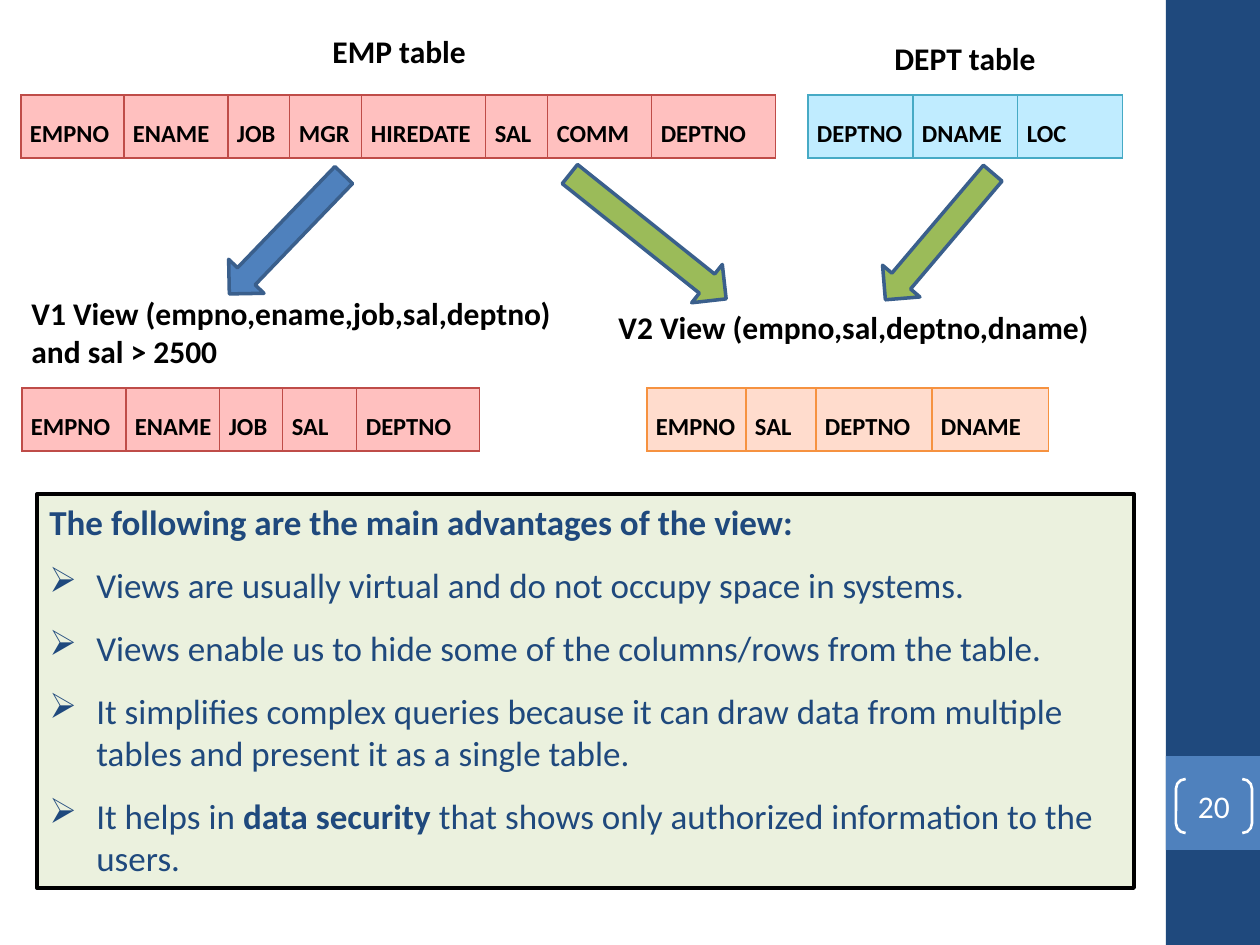
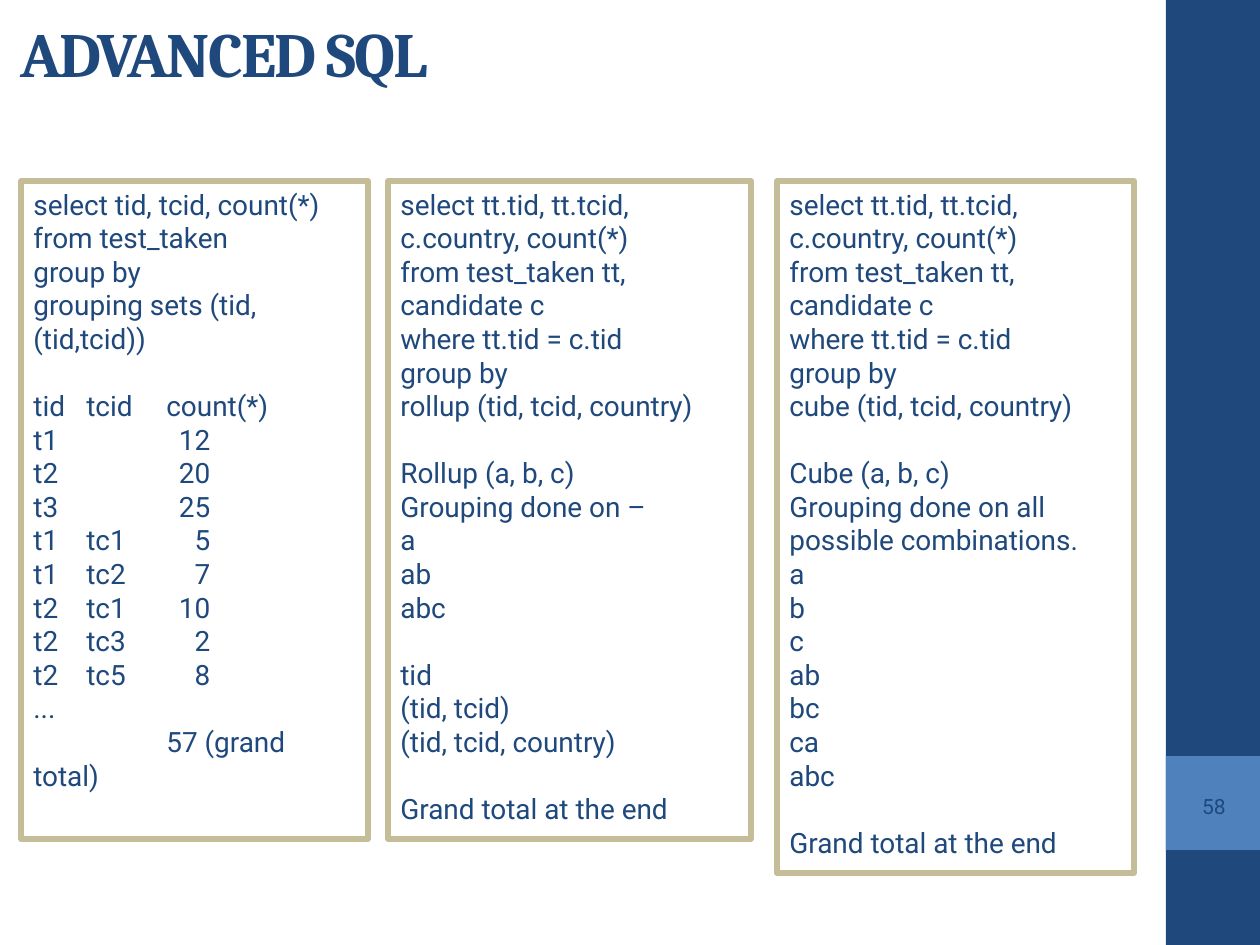
from lxml.etree import SubElement
from pptx import Presentation
from pptx.dml.color import RGBColor
from pptx.enum.shapes import MSO_SHAPE
from pptx.enum.text import MSO_ANCHOR, MSO_AUTO_SIZE, PP_ALIGN
from pptx.oxml.ns import qn
from pptx.util import Emu, Pt

C = {
    "navy": "1F497D", "blue": "4F81BD", "green": "9BBB59", "arrow_edge": "3A5F8C",
    "white": "FFFFFF", "black": "000000", "pale_green": "EBF1DE", "tan": "C4BD97",
    "pink": "FFC0BF", "red": "BF4C48", "sky": "C0ECFF", "teal": "46AAC5",
    "peach": "FFDCCD", "orange": "F69240",
}
TITLE_ONLY, BLANK = 5, 6
CODE_LINE = 19.2


def px(n):
    """Turn px into EMU at 126 px to the inch."""
    return Emu(round(n * 914400 / 126))


def rgb(name):
    """Look up a palette colour."""
    return RGBColor.from_string(C[name])


class Deck:
    """Hold the shared style and the current slide."""

    def __init__(self):
        """Start an empty 10 by 7.5 inch deck."""
        self.prs = Presentation()
        self.prs.slide_width, self.prs.slide_height = px(1260), px(945)
        self.s = None

    def slide(self, layout):
        """Add a slide with its side band."""
        self.s = self.prs.slides.add_slide(self.prs.slide_layouts[layout])
        self.shape(MSO_SHAPE.RECTANGLE, 1166, 0, 94, 945, fill="navy")
        self.shape(MSO_SHAPE.RECTANGLE, 1166, 756, 94, 94, fill="blue")

    def shape(self, kind, x, y, w, h, fill=None, line=None, width=1, rot=0):
        """Add a preset shape."""
        sp = self.s.shapes.add_shape(kind, px(x), px(y), px(w), px(h))
        sp.shadow.inherit = False
        sp.rotation = rot
        for part, color in ((sp.fill, fill), (sp.line.fill, line)):
            if color:
                part.solid()
                part.fore_color.rgb = rgb(color)
            else:
                part.background()
        if line:
            sp.line.width = Pt(width)
        return sp

    def run(self, p, text, size, color, font="Calibri", bold=False):
        """Add one formatted run."""
        r = p.add_run()
        r.text = text
        r.font.size, r.font.name, r.font.bold = Pt(size), font, bold
        r.font.color.rgb = rgb(color)
        return r

    def paragraph(self, tf, first):
        """Return the next left-aligned paragraph of a frame."""
        p = tf.paragraphs[0] if first else tf.add_paragraph()
        p.alignment = PP_ALIGN.LEFT
        return p

    def title(self, text):
        """Fill and place the title placeholder."""
        sp = self.s.shapes.title
        sp.left, sp.top, sp.width, sp.height = px(8), px(10), px(1128), px(84)
        tf = sp.text_frame
        tf.auto_size, tf.vertical_anchor = MSO_AUTO_SIZE.NONE, MSO_ANCHOR.MIDDLE
        r = self.run(self.paragraph(tf, True), text, 36, "navy", "Cambria", True)
        r.font._element.set("spc", "-100")

    def number(self, text, size, color, font, line=None):
        """Add the slide number on the band."""
        sp = self.shape(MSO_SHAPE.DOUBLE_BRACKET, 1176, 779, 76, 54, line=line, width=1.5)
        sp.adjustments[0] = 0.179
        tf = sp.text_frame
        tf.margin_left = tf.margin_right = tf.margin_top = tf.margin_bottom = 0
        tf.vertical_anchor = MSO_ANCHOR.MIDDLE
        p = self.paragraph(tf, True)
        p.alignment = PP_ALIGN.CENTER
        self.run(p, text, size, color, font)

    def label(self, x, y, w, h, *lines):
        """Add a bold caption that does not wrap."""
        tf = self.s.shapes.add_textbox(px(x), px(y), px(w), px(h)).text_frame
        tf.word_wrap = False
        for i, line in enumerate(lines):
            self.run(self.paragraph(tf, i == 0), line, 18, "black", bold=True)

    def columns(self, x, y, fill, border, cols):
        """Add a one-row table of column names."""
        frame = self.s.shapes.add_table(1, len(cols), px(x), px(y),
                                        px(sum(w for _, w in cols)), px(63))
        tbl = frame.table
        tbl.first_row = tbl.horz_banding = False
        tbl.rows[0].height = px(63)
        for i, (name, w) in enumerate(cols):
            tbl.columns[i].width = px(w)
            cell = tbl.cell(0, i)
            cell.margin_left = cell.margin_top = cell.margin_bottom = px(9)
            cell.margin_right = px(4)
            cell.vertical_anchor = MSO_ANCHOR.BOTTOM
            self.run(self.paragraph(cell.text_frame, True), name, 14, "black", bold=True)
            pr = cell._tc.get_or_add_tcPr()
            for side in ("a:lnL", "a:lnR", "a:lnT", "a:lnB"):
                ln = SubElement(pr, qn(side), w=str(Pt(0.75)))
                SubElement(SubElement(ln, qn("a:solidFill")), qn("a:srgbClr"), val=C[border])
            cell.fill.solid()
            cell.fill.fore_color.rgb = rgb(fill)

    def arrow(self, x, y, w, rot, fill):
        """Add a turned block arrow."""
        self.shape(MSO_SHAPE.RIGHT_ARROW, x, y, w, 49, fill, "arrow_edge", 2, rot)

    def panel(self, x, y, w, h, heading, bullets):
        """Add a filled box with a heading and bullets of (text, bold) runs."""
        sp = self.shape(MSO_SHAPE.RECTANGLE, x, y, w, h, "pale_green", "black", 2.25)
        tf = sp.text_frame
        tf.word_wrap, tf.vertical_anchor = True, MSO_ANCHOR.TOP
        for i, runs in enumerate([[(heading, True)], *bullets]):
            p = self.paragraph(tf, i == 0)
            p.space_after = Pt(6)
            if i:
                p.space_before = Pt(6)
                pPr = p._p.get_or_add_pPr()
                pPr.set("marL", str(px(47)))
                pPr.set("indent", str(-px(47)))
                SubElement(pPr, qn("a:buChar"), char="➢")
            for text, bold in runs:
                self.run(p, text, 20, "navy", bold=bold)

    def code_box(self, x, w, h, groups):
        """Add an outlined box of line groups, each line as (text, tab stops)."""
        sp = self.shape(MSO_SHAPE.RECTANGLE, x, 181, w, h, line="tan", width=3)
        tf = sp.text_frame
        tf.word_wrap, tf.vertical_anchor = True, MSO_ANCHOR.TOP
        tf.margin_right = px(20)
        for g, group in enumerate(groups):
            for i, (text, tabs) in enumerate(group):
                p = self.paragraph(tf, g == i == 0)
                if g and i == 0:
                    p.space_before = Pt(CODE_LINE)
                if tabs:
                    tab_list = SubElement(p._p.get_or_add_pPr(), qn("a:tabLst"))
                    for pos, algn in tabs:
                        SubElement(tab_list, qn("a:tab"), pos=str(px(pos)), algn=algn)
                self.run(p, text, 16, "navy", "Roboto")


def plain(*lines):
    """Give lines without tab stops."""
    return [(line, None) for line in lines]


def views_slide(d):
    """Build the slide on tables and their views."""
    d.slide(BLANK)
    d.number("20", 18, "white", "Calibri", line="white")
    d.columns(21, 95, "pink", "red", [
        ("EMPNO", 103), ("ENAME", 104), ("JOB", 62), ("MGR", 72),
        ("HIREDATE", 124), ("SAL", 62), ("COMM", 104), ("DEPTNO", 124)])
    d.columns(808, 95, "sky", "teal", [("DEPTNO", 105), ("DNAME", 105), ("LOC", 105)])
    d.columns(22, 388, "pink", "red", [
        ("EMPNO", 104), ("ENAME", 94), ("JOB", 63), ("SAL", 74), ("DEPTNO", 123)])
    d.columns(647, 388, "peach", "orange", [
        ("EMPNO", 99), ("SAL", 70), ("DEPTNO", 116), ("DNAME", 117)])
    d.label(320, 26, 160, 50, "EMP table")
    d.label(882, 33, 168, 50, "DEPT table")
    d.label(19, 288, 549, 89, "V1 View (empno,ename,job,sal,deptno)", "and sal > 2500")
    d.label(606, 302, 499, 50, "V2 View (empno,sal,deptno,dname)")
    d.arrow(204, 210, 165, 133.9, "blue")
    d.arrow(548, 212, 200, 38.6, "green")
    d.arrow(856, 212, 166, 130.3, "green")
    d.panel(37, 494, 1097, 394, "The following are the main advantages of the view:", [
        [("Views are usually virtual and do not occupy space in systems.", False)],
        [("Views enable us to hide some of the columns/rows from the table.", False)],
        [("It simplifies complex queries because it can draw data from multiple "
          "tables and present it as a single table.", False)],
        [("It helps in ", False), ("data security", True),
         (" that shows only authorized information to the users.", False)],
    ])


def sql_slide(d):
    """Build the slide on grouping sets, rollup and cube."""
    d.slide(TITLE_ONLY)
    d.number("58", 12, "navy", "Roboto")
    d.title("ADVANCED SQL")
    header = [(53, "l"), (133, "l")]
    figures = [(53, "l"), (177, "r")]
    counts = [("t1", "", 12), ("t2", "", 20), ("t3", "", 25), ("t1", "tc1", 5),
              ("t1", "tc2", 7), ("t2", "tc1", 10), ("t2", "tc3", 2), ("t2", "tc5", 8)]
    result = [("tid\ttcid\tcount(*)", header)]
    result += [(f"{tid}\t{tcid}\t{n}", figures) for tid, tcid, n in counts]
    result += [("...", None), ("\t\t57 (grand total)", header)]
    d.code_box(21, 347, 658, [
        plain("select tid, tcid, count(*)", "from test_taken", "group by",
              "grouping sets (tid, (tid,tcid))"),
        result])

    query = ("select tt.tid, tt.tcid, c.country, count(*)",
             "from test_taken tt, candidate c", "where tt.tid = c.tid", "group by")
    end = plain("Grand total at the end")
    d.code_box(388, 363, 658, [
        plain(*query, "rollup (tid, tcid, country)"),
        plain("Rollup (a, b, c)", "Grouping done on –", "a", "ab", "abc"),
        plain("tid", "(tid, tcid)", "(tid, tcid, country)"),
        end])
    d.code_box(777, 357, 692, [
        plain(*query, "cube (tid, tcid, country)"),
        plain("Cube (a, b, c)", "Grouping done on all possible combinations.",
              "a", "b", "c", "ab", "bc", "ca", "abc"),
        end])


def main():
    """Build and save the deck."""
    d = Deck()
    views_slide(d)
    sql_slide(d)
    d.prs.save("out.pptx")


if __name__ == "__main__":
    main()
